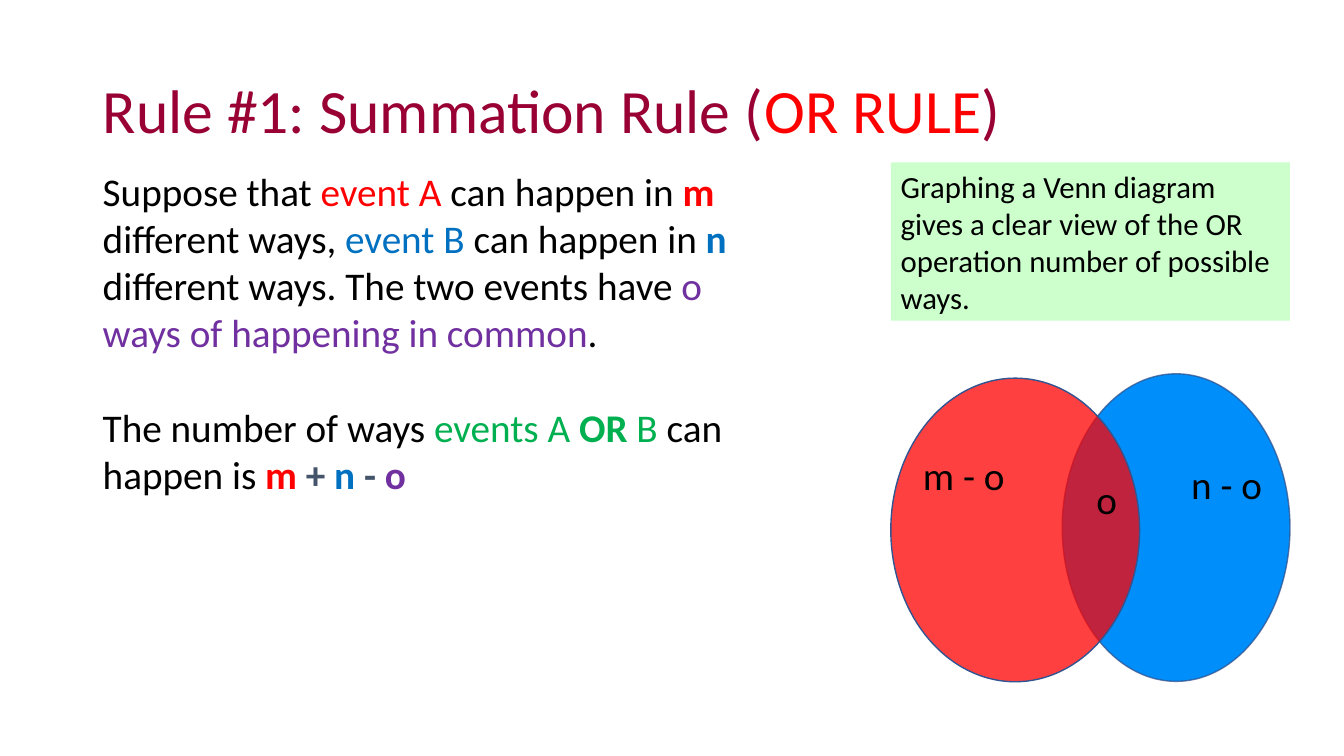
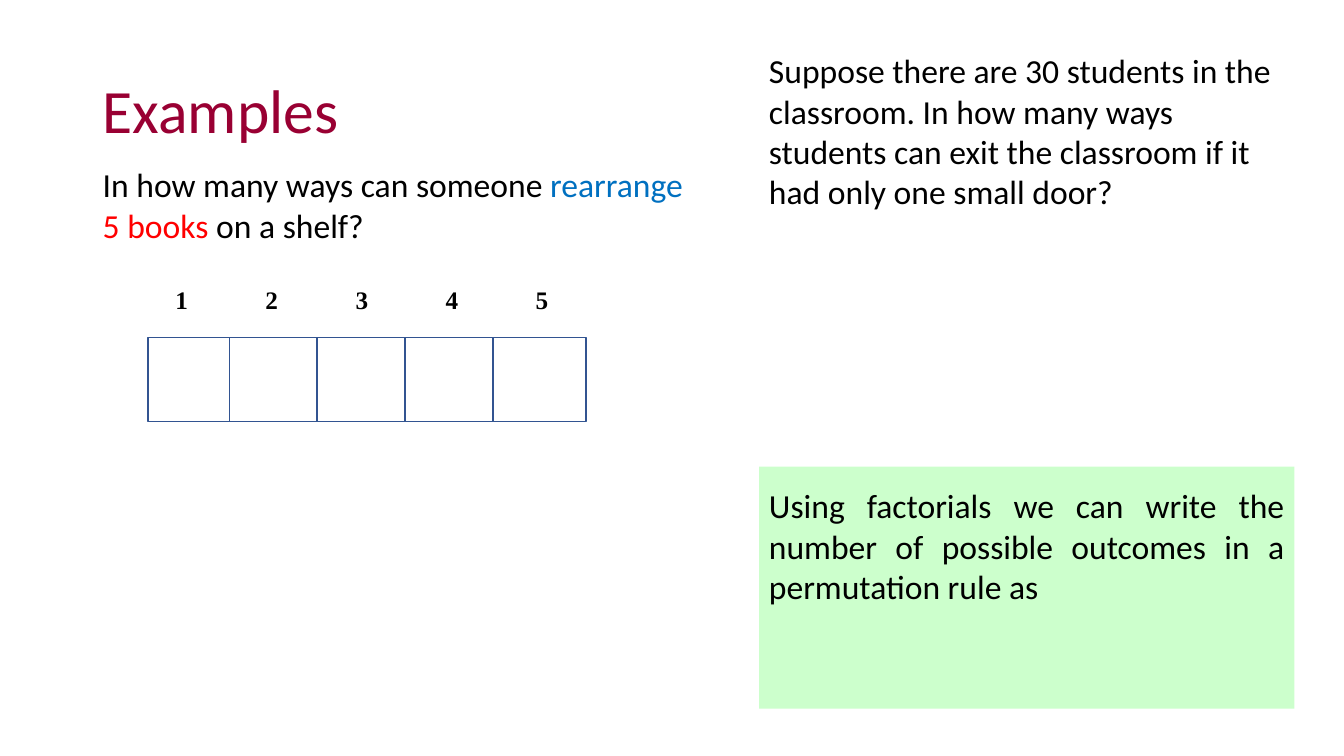
from itertools import accumulate

from lxml import etree
from pptx import Presentation
from pptx import util as u
from pptx.dml.color import RGBColor
from pptx.enum import shapes, text
from pptx.oxml.ns import qn

BLACK, RED, BLUE, PURPLE = "000000", "FF0000", "0070C0", "7030A0"
GREEN, SLATE, MAROON = "00B050", "44546A", "990033"
MINT, SKY, OUTLINE, SKY_OUTLINE = "CCFFCC", "008FFA", "325491", "2F528F"


def rgb(value):
    return RGBColor.from_string(value)


def assign(target, values):
    for name, value in values.items():
        setattr(target, name, value)


def set_alpha(painted, percent):
    color = painted.find(qn("a:solidFill"))[0]
    etree.SubElement(color, qn("a:alpha")).set("val", str(percent * 1000))


class Deck:
    """Holds the shared style and the slide being built."""

    body_font = "Calibri"
    label_font = "Times New Roman"
    margin = 2.34

    def __init__(self):
        self.prs = Presentation()
        assign(self.prs, {"slide_width": u.Cm(33.87), "slide_height": u.Cm(19.05)})
        self.slide = None

    def new_slide(self, title):
        self.slide = self.prs.slides.add_slide(self.prs.slide_layouts[6])
        self.textbox((self.margin, 1.02, 23.65, 3.68), [title], 44, color=MAROON,
                     anchor=text.MSO_ANCHOR.MIDDLE, line_spacing=0.9)

    def fill_text(self, shape, paragraphs, size, color=BLACK, font=None, bold=False,
                  wrap=True, anchor=text.MSO_ANCHOR.TOP, inset=0.13,
                  **paragraph_format):
        frame = shape.text_frame
        assign(frame, {"word_wrap": wrap, "vertical_anchor": anchor,
                       "margin_top": u.Cm(inset)})
        for index, parts in enumerate(paragraphs):
            paragraph = frame.add_paragraph() if index else frame.paragraphs[0]
            gap = u.Pt(size * 1.22 if index else 0)
            assign(paragraph, {"alignment": text.PP_ALIGN.LEFT,
                               "space_before": gap, **paragraph_format})
            for words, *accent in parts:
                run_color, run_bold = accent + [color, bold][len(accent):]
                run = paragraph.add_run()
                run.text = words
                assign(run.font, {"size": u.Pt(size), "name": font or self.body_font,
                                  "bold": run_bold})
                run.font.color.rgb = rgb(run_color)

    def textbox(self, box, paragraphs, size, **style):
        shape = self.slide.shapes.add_textbox(*map(u.Cm, box))
        self.fill_text(shape, paragraphs, size, **style)

    def label(self, left, top, width, words, size=28, height=1.45, **style):
        self.textbox((left, top, width, height), [[(words,)]], size, wrap=False, **style)

    def figure(self, kind, box, fill=None, line=None, fill_alpha=100, line_alpha=100):
        shape = self.slide.shapes.add_shape(kind, *map(u.Cm, box))
        shape.shadow.inherit = False
        for paint, color in ((shape.fill, fill), (shape.line.fill, line)):
            if color:
                paint.solid()
                paint.fore_color.rgb = rgb(color)
            else:
                paint.background()
        if line:
            shape.line.width = u.Pt(1)
        properties = shape.element.spPr
        outline = properties.find(qn("a:ln"))
        for painted, alpha in ((properties, fill_alpha), (outline, line_alpha)):
            if alpha < 100:
                set_alpha(painted, alpha)
        return shape

    def callout(self, box, words, size, **style):
        panel = self.figure(shapes.MSO_SHAPE.RECTANGLE, box, MINT)
        self.fill_text(panel, [[(words,)]], size, **style)

    def ellipse(self, box, fill, line, **alphas):
        self.figure(shapes.MSO_SHAPE.OVAL, box, fill, line, **alphas)


def summation_rule(deck):
    deck.new_slide([("Rule #1: Summation Rule (",), ("OR RULE", RED), (")",)])
    deck.ellipse((26.77, 9.42, 5.74, 7.75), SKY, SKY_OUTLINE, line_alpha=75)
    events = [("Suppose that ",), ("event A", RED), (" can happen in ",),
              ("m", RED, True), (" different ways, ",), ("event B", BLUE),
              (" can happen in ",), ("n", BLUE, True),
              (" different ways. The two events have ",),
              ("o ways of happening in common", PURPLE), (".",)]
    total = [("The number of ways ",), ("events A ", GREEN), ("OR", GREEN, True),
             (" B ", GREEN), ("can happen is ",), ("m ", RED, True),
             ("+ ", SLATE, True), ("n ", BLUE, True), ("- ", SLATE, True),
             ("o", PURPLE, True)]
    deck.textbox((deck.margin, 4.09, 17.2, 8.64), [events, total], 28)
    deck.callout((22.45, 4.09, 10.06, 3.99),
                 "Graphing a Venn diagram gives a clear view of the OR operation "
                 "number of possible ways.", 22, anchor=text.MSO_ANCHOR.MIDDLE)
    deck.ellipse((22.45, 9.53, 6.27, 7.65), RED, OUTLINE, fill_alpha=75)
    deck.label(23.01, 11.25, 2.59, "m - o")
    deck.label(27.38, 11.84, 1.04, "o")
    deck.label(29.77, 11.46, 2.34, "n - o")


def examples(deck):
    deck.new_slide([("Examples",)])
    books = [("In how many ways can someone ",), ("rearrange ", BLUE),
             ("5 books ", RED), ("on a shelf?",)]
    deck.textbox((deck.margin, 4.01, 15.37, 2.31), [books], 24)

    slot_widths = [2.06, 2.2, 2.22, 2.22, 2.34]
    slot_lefts = accumulate(slot_widths, initial=3.73)
    for place, (left, width) in enumerate(zip(slot_lefts, slot_widths)):
        deck.figure(shapes.MSO_SHAPE.RECTANGLE, (left, 8.51, width, 2.11), line=OUTLINE)
        deck.label(4.17 + place * 2.27, 7.04, 0.84, str(place + 1), 18, 1.02,
                   font=deck.label_font, bold=True)

    students = [("Suppose there are 30 students in the classroom. In how many ways "
                 "students can exit the classroom if it had only one small door?",)]
    deck.textbox((19.13, 1.14, 13.74, 4.37), [students], 24)
    deck.callout((19.13, 11.76, 13.49, 6.1),
                 "Using factorials we can write the number of possible outcomes in a "
                 "permutation rule as", 24, inset=0.47,
                 alignment=text.PP_ALIGN.JUSTIFY)


def main():
    deck = Deck()
    summation_rule(deck)
    examples(deck)
    deck.prs.save("out.pptx")


if __name__ == "__main__":
    main()
